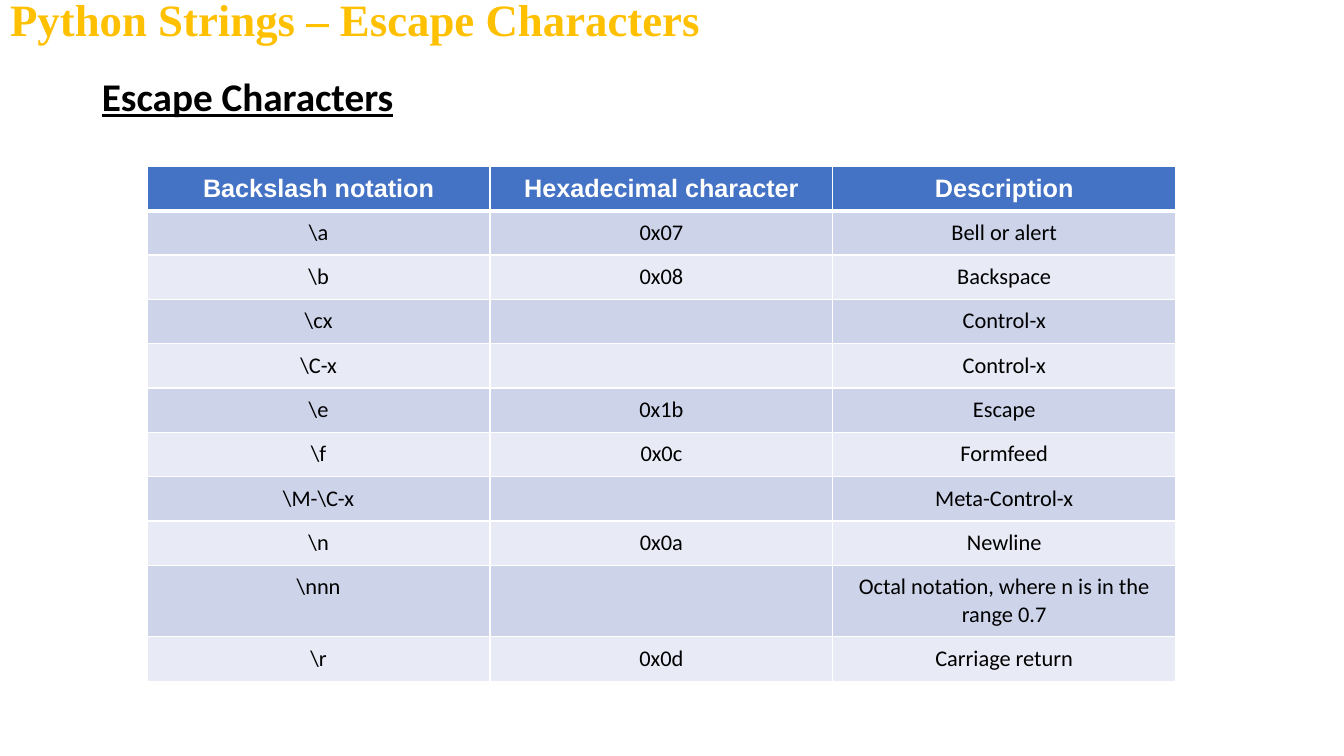
from lxml.etree import SubElement
from pptx import Presentation
from pptx.dml.color import RGBColor
from pptx.enum.text import MSO_ANCHOR, MSO_AUTO_SIZE, PP_ALIGN
from pptx.oxml.ns import qn
from pptx.util import Inches, Pt

HEADINGS = ("Backslash notation", "Hexadecimal character", "Description")
ESCAPES = [
    (r"\a", "0x07", "Bell or alert"),
    (r"\b", "0x08", "Backspace"),
    (r"\cx", "", "Control-x"),
    (r"\C-x", "", "Control-x"),
    (r"\e", "0x1b", "Escape"),
    (r"\f", "0x0c", "Formfeed"),
    (r"\M-\C-x", "", "Meta-Control-x"),
    (r"\n", "0x0a", "Newline"),
    (r"\nnn", "", "Octal notation, where n is in the range 0.7"),
    (r"\r", "0x0d", "Carriage return"),
]


def write(frame, text, font, size, color, bold=False, underline=False,
          align=PP_ALIGN.LEFT, spacing=1.0):
    para = frame.paragraphs[0]
    para.alignment = align
    para.line_spacing = spacing
    para.space_before = Pt(0)
    span = para.add_run()
    span.text = text
    span.font.name = font
    span.font.size = Pt(size)
    span.font.bold = bold
    span.font.underline = underline
    span.font.color.rgb = RGBColor.from_string(color)
    return para


def add_border(cell, side, width):
    line = SubElement(cell._tc.get_or_add_tcPr(), qn(f"a:ln{side}"), w=str(Pt(width)))
    fill = SubElement(line, qn("a:solidFill"))
    SubElement(fill, qn("a:srgbClr"), val="FFFFFF")


deck = Presentation()
deck.slide_width = Inches(13.33)
deck.slide_height = Inches(7.5)
page = deck.slides.add_slide(deck.slide_layouts[1])

title, body = page.placeholders
for box, left, top, height, anchor in (
    (title, 0, 0, 0.44, MSO_ANCHOR.MIDDLE),
    (body, 0.91, 0.72, 6.4, MSO_ANCHOR.TOP),
):
    box.left, box.top = Inches(left), Inches(top)
    box.width, box.height = Inches(10.63), Inches(height)
    box.text_frame.auto_size = MSO_AUTO_SIZE.NONE
    box.text_frame.vertical_anchor = anchor

write(title.text_frame, "Python Strings – Escape Characters", "Times New Roman", 32,
      "FFC000", bold=True, spacing=0.9)
subtitle = write(body.text_frame, "Escape Characters", "Calibri", 28, "000000",
                 bold=True, underline=True, spacing=0.9)
properties = subtitle._p.get_or_add_pPr()
properties.set("marL", "0")
properties.set("indent", "0")
SubElement(properties, qn("a:buNone"))

rows = [HEADINGS] + ESCAPES
table = page.shapes.add_table(len(rows), 3, Inches(1.46), Inches(1.65),
                              Inches(10.2), Inches(0.44 * len(rows))).table
for column in table.columns:
    column.width = Inches(3.4)

for row, texts in enumerate(rows):
    table.rows[row].height = Inches(0.71 if texts[0] == r"\nnn" else 0.44)
    for column, text in enumerate(texts):
        cell = table.cell(row, column)
        for side in "LRTB":
            under_header = (row, side) in ((0, "B"), (1, "T"))
            add_border(cell, side, 3 if under_header else 1)
        cell.fill.solid()
        fill = "4472C4" if row == 0 else "CDD4EA" if row % 2 else "E8EBF5"
        cell.fill.fore_color.rgb = RGBColor.from_string(fill)
        if not text:
            continue
        cell.margin_left = cell.margin_right = Inches(0.08)
        cell.margin_top = cell.margin_bottom = Inches(0.08)
        if row == 0:
            write(cell.text_frame, text, "Arial", 18, "FFFFFF", bold=True,
                  align=PP_ALIGN.CENTER)
        else:
            write(cell.text_frame, text, "Calibri", 16, "000000",
                  align=PP_ALIGN.CENTER)

deck.save("out.pptx")
